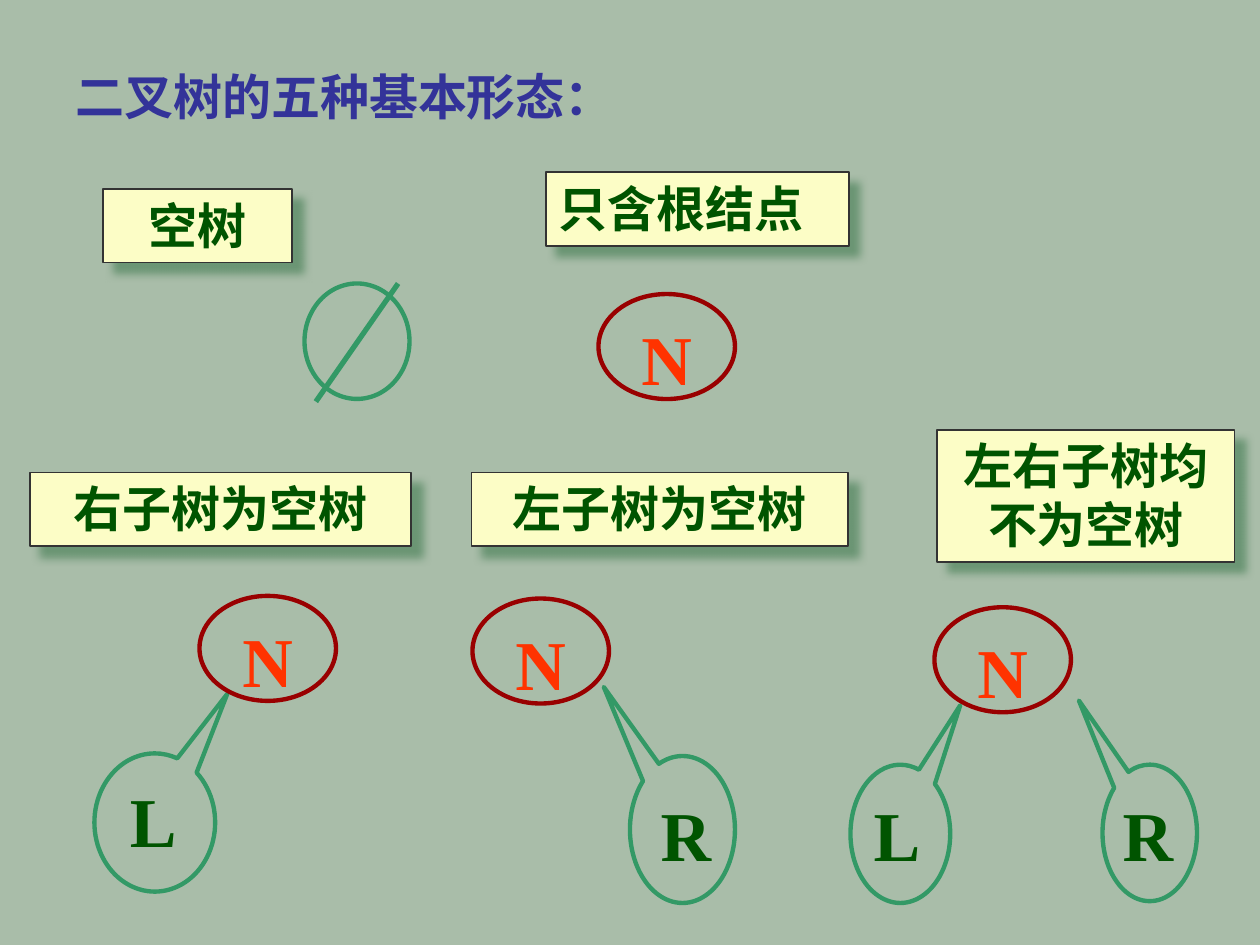
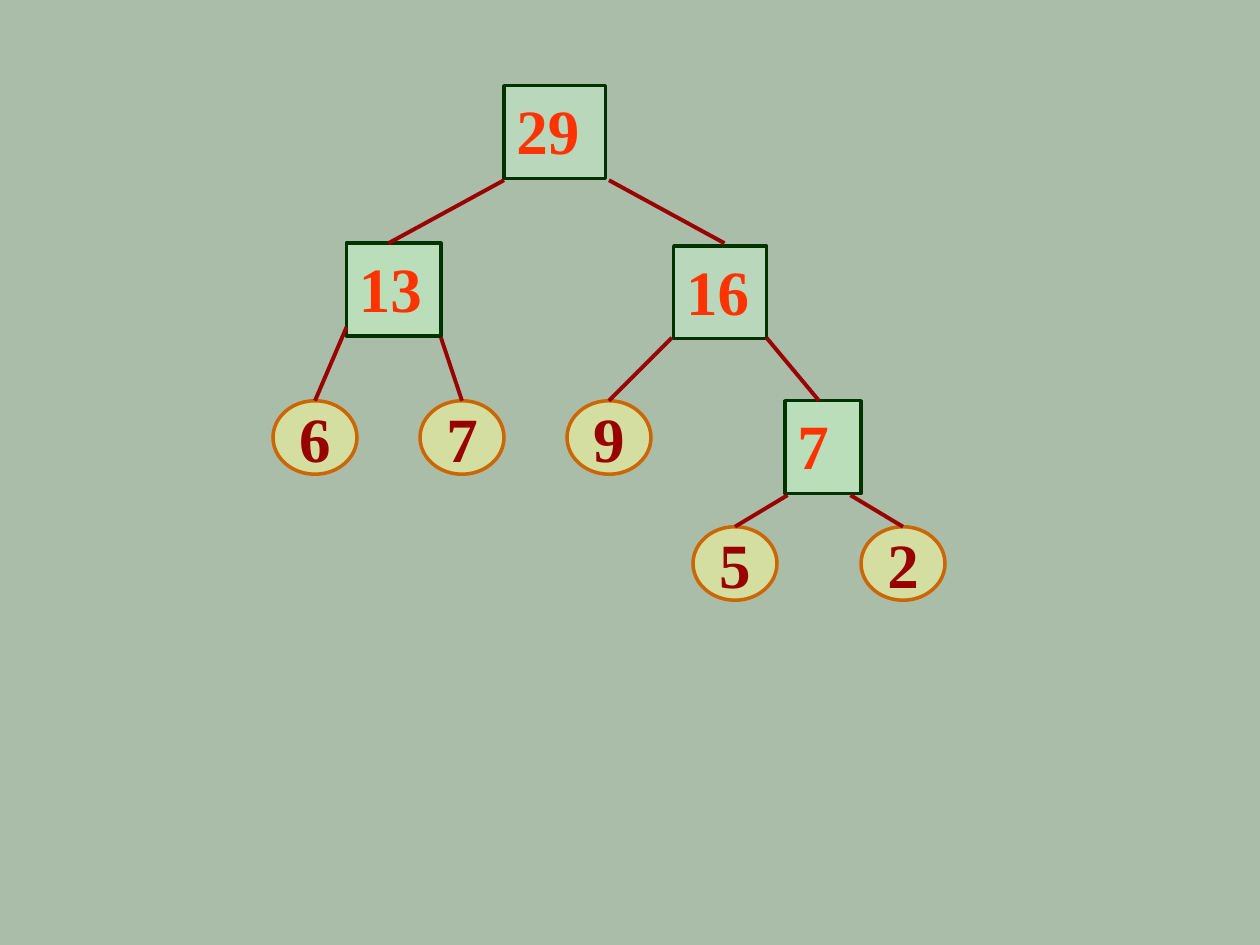
from lxml import etree
from pptx import Presentation
from pptx.dml.color import RGBColor
from pptx.enum.shapes import MSO_CONNECTOR, MSO_SHAPE
from pptx.enum.text import MSO_ANCHOR, MSO_AUTO_SIZE, PP_ALIGN
from pptx.oxml.ns import qn
from pptx.util import Pt

LEFT, CENTER = PP_ALIGN.LEFT, PP_ALIGN.CENTER
TOP, MIDDLE = MSO_ANCHOR.TOP, MSO_ANCHOR.MIDDLE
OVAL, RECT = MSO_SHAPE.OVAL, MSO_SHAPE.RECTANGLE
CALLOUT = MSO_SHAPE.OVAL_CALLOUT
STRAIGHT = MSO_CONNECTOR.STRAIGHT
NO_FIT = MSO_AUTO_SIZE.NONE
TITLE_ONLY, BLANK = 5, 6

SERIF, SANS = "Times New Roman", "Arial"
BACKGROUND = "A9BDA9"
INDIGO, RED, ORANGE = "333399", "990000", "FF3300"
GREEN, DARK_GREEN, FOREST = "339966", "005400", "003300"
CREAM, CHARCOAL, SHADOW = "FCFDC6", "333333", "578963"
YELLOW, AMBER = "FFFF99", "CC6600"
MINT, SAGE = "CCFFCC", "CAF2CE"

NODE_W, NODE_H = 78, 60
LEAF_W, LEAF_H = 48, 42
BRANCH_H = 53


def color(value):
    return RGBColor.from_string(value)


class Deck:
    def __init__(self):
        self.prs = Presentation()
        self.prs.slide_width, self.prs.slide_height = Pt(720), Pt(540)

    def add_slide(self, layout):
        self.s = self.prs.slides.add_slide(self.prs.slide_layouts[layout])
        fill = self.s.background.fill
        fill.solid()
        fill.fore_color.rgb = color(BACKGROUND)

    def set_text(self, sp, text, size, ink, font=SERIF, align=CENTER, anchor=TOP, wrap=True):
        tf = sp.text_frame
        tf.text = text
        tf.auto_size = NO_FIT
        tf.word_wrap = wrap
        tf.vertical_anchor = anchor
        p = tf.paragraphs[0]
        p.alignment = align
        r = p.runs[0]
        r.font.name, r.font.size, r.font.bold = font, Pt(size), True
        r.font.color.rgb = color(ink)

    def title(self, text, x, y, w, h):
        sp = self.s.shapes.title
        sp.left, sp.top, sp.width, sp.height = Pt(x), Pt(y), Pt(w), Pt(h)
        self.set_text(sp, text, 28, INDIGO, align=LEFT)

    def shape(self, kind, x, y, w, h, fill, line, width, alpha=None):
        sp = self.s.shapes.add_shape(kind, Pt(x), Pt(y), Pt(w), Pt(h))
        sp.shadow.inherit = False
        sp.fill.solid()
        sp.fill.fore_color.rgb = color(fill)
        sp.line.color.rgb = color(line)
        sp.line.width = Pt(width)
        if alpha:
            clr = sp._element.spPr.find(qn("a:solidFill"))[0]
            etree.SubElement(clr, qn("a:alpha"), val=str(alpha * 1000))
        return sp

    def line(self, x1, y1, x2, y2, ink=RED, width=2.25):
        sp = self.s.shapes.add_connector(STRAIGHT, Pt(x1), Pt(y1), Pt(x2), Pt(y2))
        sp.line.color.rgb = color(ink)
        sp.line.width = Pt(width)
        etree.SubElement(sp._element.spPr, qn("a:effectLst"))

    def label(self, text, x, y, w, h=42, align=CENTER):
        sp = self.shape(RECT, x, y, w, h, CREAM, CHARCOAL, 1)
        effects = sp._element.spPr.find(qn("a:effectLst"))
        shadow = etree.SubElement(effects, qn("a:outerShdw"), blurRad=str(Pt(5)),
                                  dist=str(Pt(8.5)), dir=str(45 * 60000),
                                  algn="tl", rotWithShape="0")
        clr = etree.SubElement(shadow, qn("a:srgbClr"), val=SHADOW)
        etree.SubElement(clr, qn("a:alpha"), val="75000")
        self.set_text(sp, text, 28, DARK_GREEN, SANS, align)

    def root(self, x, y):
        sp = self.shape(OVAL, x, y, NODE_W, NODE_H, BACKGROUND, RED, 2.5)
        self.set_text(sp, "N", 40, ORANGE)

    def subtree(self, x, y, w, h, pointer):
        sp = self.shape(CALLOUT, x, y, w, h, BACKGROUND, GREEN, 2.5)
        sp.adjustments[0], sp.adjustments[1] = pointer

    def letter(self, text, x, y):
        sp = self.s.shapes.add_textbox(Pt(x), Pt(y), Pt(42), Pt(55))
        self.set_text(sp, text, 40, DARK_GREEN, wrap=False)

    def leaf(self, text, x, y):
        sp = self.shape(OVAL, x, y, LEAF_W, LEAF_H, YELLOW, AMBER, 2, 50)
        self.set_text(sp, text, 36, RED, anchor=MIDDLE, wrap=False)

    def branch(self, text, x, y, w, fill):
        sp = self.shape(RECT, x, y, w, BRANCH_H, fill, FOREST, 2, 50)
        self.set_text(sp, text, 36, ORANGE, align=LEFT)


def basic_forms(deck):
    deck.add_slide(TITLE_ONLY)
    deck.title("二叉树的五种基本形态：", 36, 34.5, 352, 41)

    deck.shape(OVAL, 174, 162, 60, 66, BACKGROUND, GREEN, 2.5)
    deck.line(227.5, 162, 180.5, 229.5, GREEN, 3)

    to_right, to_left = (0.6, -0.93), (-0.75, -0.97)
    for x, y, w, h, pointer in [(54, 430.5, 69, 79, to_right),
                                (360, 432, 60, 84, to_left),
                                (486, 437, 57, 79, to_right),
                                (630, 437, 54, 78, to_left)]:
        deck.subtree(x, y, w, h, pointer)

    for x, y in [(342, 168), (114, 340.5), (270, 342), (534, 347)]:
        deck.root(x, y)
    for text, x, y in [("L", 66.5, 441), ("R", 371, 448.5),
                       ("L", 491.5, 448.5), ("R", 635, 448.5)]:
        deck.letter(text, x, y)

    deck.label("空树", 59, 108, 108)
    deck.label("只含根结点", 312, 98.5, 173, align=LEFT)
    deck.label("右子树为空树", 17, 270, 218)
    deck.label("左子树为空树", 269.5, 270, 215)
    deck.label("左右子树均不为空树", 535.5, 245.5, 170, 75.5)


def weighted_tree(deck):
    deck.add_slide(BLANK)
    for text, x, y, w, fill in [("29", 288, 49, 58, SAGE),
                                ("13", 198, 139, 54, MINT),
                                ("16", 385, 140.5, 53, SAGE),
                                ("7", 448.5, 229, 43.5, MINT)]:
        deck.branch(text, x, y, w, fill)

    for text, x, y, from_x, from_y in [("6", 156, 229, 198, 187),
                                       ("7", 240, 229, 252, 193),
                                       ("9", 324, 229, 384, 193),
                                       ("5", 396, 301, 450, 283),
                                       ("2", 492, 301, 486, 283)]:
        deck.leaf(text, x, y)
        deck.line(from_x, from_y, x + LEAF_W / 2, y)

    for edge in [(288, 103, 222, 139), (348, 103, 414, 139), (438, 193, 468, 229)]:
        deck.line(*edge)


def main():
    deck = Deck()
    basic_forms(deck)
    weighted_tree(deck)
    deck.prs.save("out.pptx")


if __name__ == "__main__":
    main()
